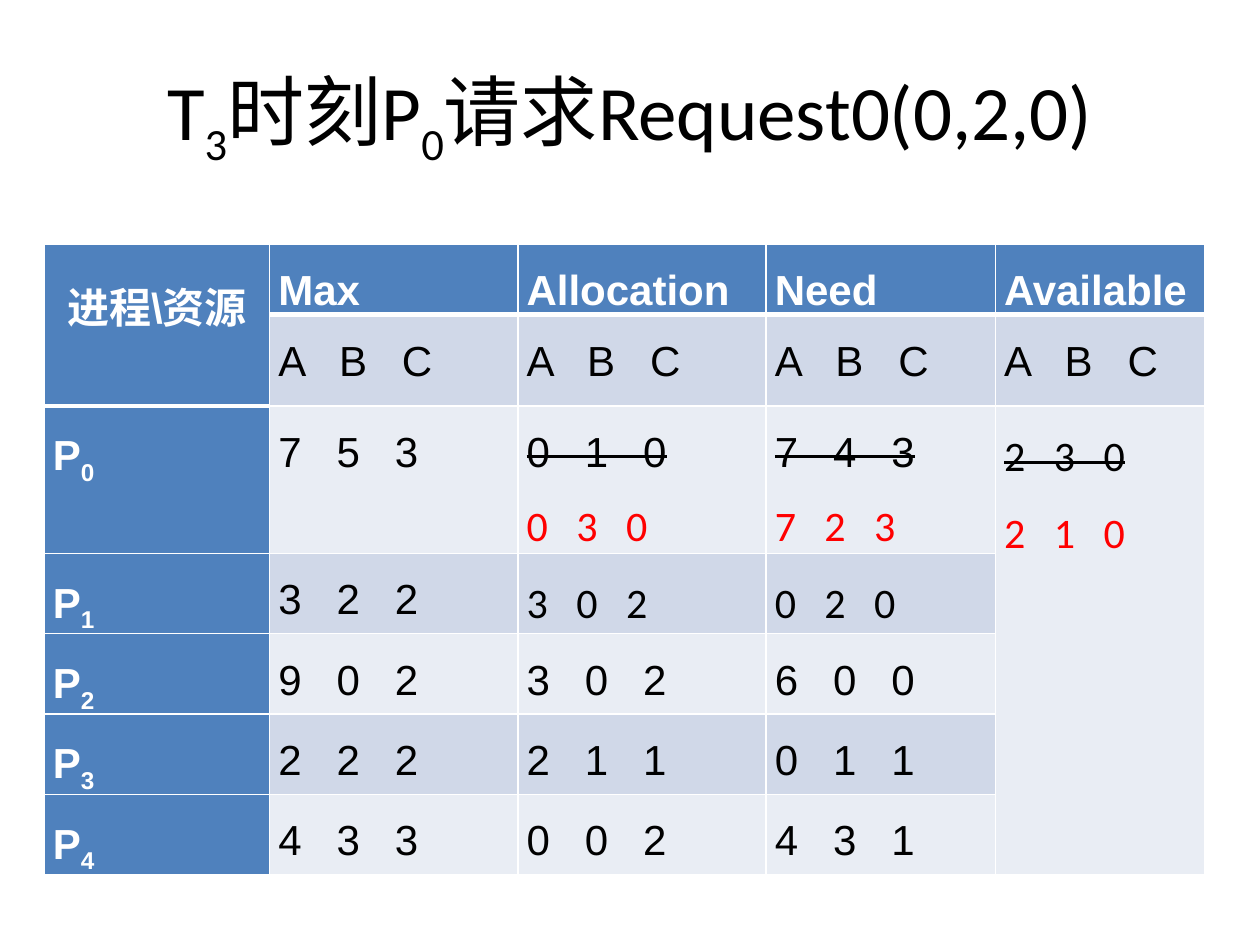
from dataclasses import dataclass, field

import lxml.etree
import pptx
import pptx.dml.color
import pptx.enum.text
import pptx.oxml.ns
import pptx.util

Inches = pptx.util.Inches
Pt = pptx.util.Pt
Color = pptx.dml.color.RGBColor.from_string
Align = pptx.enum.text.PP_ALIGN


@dataclass(frozen=True)
class Theme:
    white: str = "FFFFFF"
    ink: str = "000000"
    changed: str = "FF0000"
    header: str = "4F81BD"
    bands: tuple[str, str] = ("E9EDF4", "D0D8E8")
    table_font: str = "Arial"
    body_font: str = "Calibri"
    title_size: int = 44
    table_size: int = 24
    rule: float = 1
    header_rule: float = 3


THEME = Theme()
SUBSCRIPT = {"baseline": "-25000"}
STRUCK = {"strike": "sngStrike"}


@dataclass(frozen=True)
class Piece:
    """A run of text; marks are run properties such as subscript or strike."""
    text: str
    font: str = THEME.table_font
    color: str = THEME.ink
    marks: dict[str, str] = field(default_factory=dict)


Line = list[Piece]


def triple(values: str, font: str = THEME.table_font) -> Line:
    return [Piece("   ".join(values), font)]


def revised(before: str, after: str, font: str = THEME.table_font) -> list[Line]:
    """The struck-out old values above the new ones."""
    return [[Piece("   ".join(before), font, marks=STRUCK)],
            [Piece("   ".join(after), THEME.body_font, THEME.changed)]]


def heading(text: str, subscript: str = "") -> list[Line]:
    line = [Piece(text, color=THEME.white)]
    if subscript:
        line.append(Piece(subscript, color=THEME.white, marks=SUBSCRIPT))
    return [line]


def write_line(paragraph, line: Line, size: float, bold: bool, align) -> None:
    paragraph.alignment = align
    for piece in line:
        run = paragraph.add_run()
        run.text = piece.text
        formats = {"name": piece.font, "size": Pt(size), "bold": bold}
        for name, value in formats.items():
            setattr(run.font, name, value)
        run.font.color.rgb = Color(piece.color)
        for name, value in piece.marks.items():
            run.font._element.set(name, value)


def draw_borders(cell, bottom: float) -> None:
    properties = cell._tc.get_or_add_tcPr()
    widths = {"lnL": THEME.rule, "lnR": THEME.rule, "lnT": THEME.rule, "lnB": bottom}
    for side, width in widths.items():
        edge = lxml.etree.SubElement(
            properties, pptx.oxml.ns.qn(f"a:{side}"), w=str(Pt(width)))
        paint = lxml.etree.SubElement(edge, pptx.oxml.ns.qn("a:solidFill"))
        lxml.etree.SubElement(paint, pptx.oxml.ns.qn("a:srgbClr"), val=THEME.white)


def fill_cell(cell, lines: list[Line], row: int, column: int) -> None:
    is_header = row == 0 or column == 0
    draw_borders(cell, THEME.header_rule if row == 0 else THEME.rule)
    cell.fill.solid()
    cell.fill.fore_color.rgb = Color(THEME.header if is_header else THEME.bands[row % 2])
    margins = {"margin_left": 0.07, "margin_right": 0.07,
               "margin_top": 0, "margin_bottom": 0}
    for name, value in margins.items():
        setattr(cell, name, Inches(value))
    align = Align.CENTER if row == column == 0 else Align.JUSTIFY
    frame = cell.text_frame
    for index, line in enumerate(lines):
        paragraph = frame.add_paragraph() if index else frame.paragraphs[0]
        paragraph.line_spacing = 1.5
        write_line(paragraph, line, THEME.table_size, is_header, align)


def draw_title(slide) -> None:
    title = slide.shapes.title
    place = {"left": 0.5, "top": 0.3, "width": 9, "height": 1.25}
    for name, value in place.items():
        setattr(title, name, Inches(value))
    title.text_frame.vertical_anchor = pptx.enum.text.MSO_ANCHOR.MIDDLE
    parts = [("T", {}), ("3", SUBSCRIPT), ("时刻P", {}), ("0", SUBSCRIPT),
             ("请求Request0(0,2,0)", {})]
    line = [Piece(text, THEME.body_font, marks=marks) for text, marks in parts]
    write_line(title.text_frame.paragraphs[0], line, THEME.title_size, False, Align.CENTER)


def allocation_rows() -> list[list[list[Line] | None]]:
    """Table content by row; None is a cell covered by a merge."""
    titles = ["进程\\资源", "Max", "Allocation", "Need", "Available"]
    body = THEME.body_font
    rows = [[heading(title) for title in titles],
            [None] + [[triple("ABC")] for _ in titles[1:]],
            [heading("P", "0"), [triple("753")], revised("010", "030"),
             revised("743", "723"), revised("230", "210", body)]]
    processes = [("322", "302", "020", body),
                 ("902", "302", "600", THEME.table_font),
                 ("222", "211", "011", THEME.table_font),
                 ("433", "002", "431", THEME.table_font)]
    for number, (maximum, allocated, need, font) in enumerate(processes, start=1):
        rows.append([heading("P", str(number)), [triple(maximum)],
                     [triple(allocated, font)], [triple(need, font)], None])
    return rows


def draw_allocation_table(slide) -> None:
    rows = allocation_rows()
    column_widths = [1.79, 1.97, 1.97, 1.82, 1.66]
    table_height = Inches(4.8)
    holder = slide.shapes.add_table(
        len(rows), len(column_widths), Inches(0.35), Inches(1.94),
        Inches(sum(column_widths)), table_height)
    table = holder.table
    for column, width in zip(table.columns, column_widths):
        column.width = Inches(width)
    for row in table.rows:
        row.height = Inches(0.53)
    holder.height = table_height
    table.cell(0, 0).merge(table.cell(1, 0))
    table.cell(2, 4).merge(table.cell(6, 4))
    for row, contents in enumerate(rows):
        for column, lines in enumerate(contents):
            if lines is not None:
                fill_cell(table.cell(row, column), lines, row, column)


def main() -> None:
    deck = pptx.Presentation()
    deck.slide_width, deck.slide_height = Inches(10), Inches(7.5)
    title_only = deck.slide_layouts[5]
    slide = deck.slides.add_slide(title_only)
    draw_title(slide)
    draw_allocation_table(slide)
    deck.save("out.pptx")


if __name__ == "__main__":
    main()
